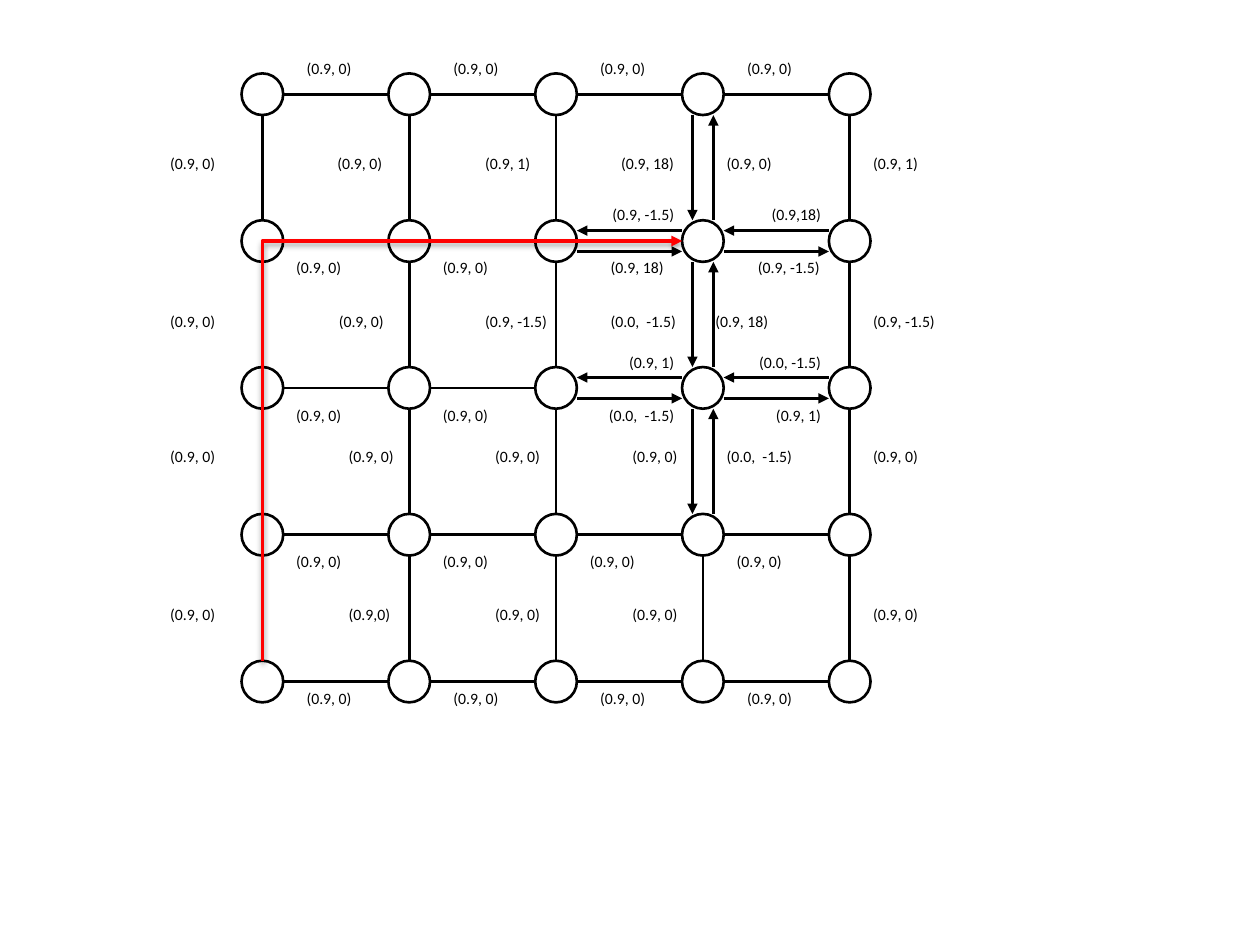
from pptx import Presentation, util as u
from pptx.dml.color import RGBColor
from pptx.enum import shapes, text
from pptx.oxml import parse_xml
from pptx.oxml.ns import nsdecls, qn
from lxml import etree

hues = {"ink": "000000", "paper": "FFFFFF", "route": "FF0000"}
deck = Presentation()
deck.slide_width, deck.slide_height = u.Cm(25.4), u.Cm(19.05)
slide = deck.slides.add_slide(deck.slide_layouts[6])
left, top, pitch, rad, gap = 5.29, 1.9, 2.96, 0.42, 0.21
size = 5


def label(words, x, y, width, align="LEFT", pts=9, font="Calibri", hue="ink"):
    box = slide.shapes.add_textbox(u.Cm(x), u.Cm(y), u.Cm(width), u.Cm(0.64))
    frame = box.text_frame
    frame.word_wrap = False
    frame.auto_size = text.MSO_AUTO_SIZE.SHAPE_TO_FIT_TEXT
    para = frame.paragraphs[0]
    para.alignment = getattr(text.PP_ALIGN, align)
    run = para.add_run()
    run.text = words
    run.font.size = u.Pt(pts)
    run.font.name = font
    run.font.color.rgb = RGBColor.from_string(hues[hue])


def link(x1, y1, x2, y2, arrow=False, hue="ink", weight=1.5):
    line = slide.shapes.add_connector(
        shapes.MSO_CONNECTOR.STRAIGHT, u.Cm(x1), u.Cm(y1), u.Cm(x2), u.Cm(y2))
    line.line.color.rgb = RGBColor.from_string(hues[hue])
    line.line.width = u.Pt(weight)
    if arrow:
        etree.SubElement(line.line._get_or_add_ln(), qn("a:tailEnd"), type="triangle")
    etree.SubElement(line._element.spPr, qn("a:effectLst"))
    return line


for row in range(size):
    for col in range(size):
        x, y = left + col * pitch, top + row * pitch
        node = slide.shapes.add_shape(
            shapes.MSO_SHAPE.OVAL, u.Cm(x - rad), u.Cm(y - rad), u.Cm(2 * rad), u.Cm(2 * rad))
        node.shadow.inherit = False
        node.fill.solid()
        node.fill.fore_color.rgb = RGBColor.from_string(hues["paper"])
        node.line.color.rgb = RGBColor.from_string(hues["ink"])
        node.line.width = u.Pt(1.5)
        near, far = rad, pitch - rad
        if col < size - 1:
            if row in (1, 2) and col in (2, 3):
                link(x + far, y - gap, x + near, y - gap, arrow=True)
                link(x + near, y + gap, x + far, y + gap, arrow=True)
            else:
                link(x + near, y, x + far, y)
        if row < size - 1:
            if col == 3 and row < 3:
                link(x - gap, y + near, x - gap, y + far, arrow=True)
                link(x + gap, y + far, x + gap, y + near, arrow=True)
            else:
                link(x, y + near, x, y + far)

wide = {"(0.9,0)": 1.35, "(0.9, 0)": 1.42, "(0.9, 1)": 1.42, "(0.9,18)": 1.5,
        "(0.9, 18)": 1.57, "(0.9, -1.5)": 1.75, "(0.0, -1.5)": 1.75, "(0.0,  -1.5)": 1.83}
zero, one, high, low, off = "(0.9, 0)", "(0.9, 1)", "(0.9, 18)", "(0.9, -1.5)", "(0.0,  -1.5)"

for x, y, count in [(5.93, 1.06, 4), (5.72, 5.08, 2), (5.72, 8.05, 2),
                    (5.72, 11, 4), (5.93, 13.76, 4)]:
    for step in range(count):
        label(zero, x + step * pitch, y, wide[zero])

for y, width in [(2.97, 1.7), (6.15, 1.7), (8.89, 2.41), (12.06, 2.41)]:
    label(zero, 3.18, y, width)

tags = {
    2.97: [(6.55, zero), (9.53, one), (12.27, high), (14.4, zero), (17.35, one)],
    5.08: [(12.06, high), (15.03, low)],
    6.15: [(6.58, zero), (9.53, low), (12.06, off), (14.17, high), (17.35, low)],
    8.89: [(6.78, zero), (9.73, zero), (12.5, zero), (14.4, off), (17.35, zero)],
    12.06: [(6.78, "(0.9,0)"), (9.73, zero), (12.5, zero), (17.35, zero)],
}
for y, pairs in tags.items():
    for x, words in pairs:
        label(words, x, y, wide[words])

for y, pair in [(4.01, (low, "(0.9,18)")), (6.99, (one, "(0.0, -1.5)")), (8.05, (off, one))]:
    for step, words in enumerate(pair):
        label(words, 13.84 + step * pitch - wide[words], y, wide[words], align="RIGHT")

span = 3 * pitch - rad
route = link(left + span, top + pitch + span, left, top + pitch,
             arrow=True, hue="route", weight=2)
props = route._element.spPr
props.find(qn("a:xfrm")).set("rot", "5400000")
props.find(qn("a:prstGeom")).set("prst", "bentConnector2")
props.find(qn("a:effectLst")).append(parse_xml(
    f'<a:outerShdw {nsdecls("a")} blurRad="{u.Pt(3.1)}" dist="{u.Pt(1.6)}" dir="5400000" '
    f'rotWithShape="0"><a:srgbClr val="{hues["ink"]}"><a:alpha val="38000"/>'
    '</a:srgbClr></a:outerShdw>'))

deck.save("out.pptx")
